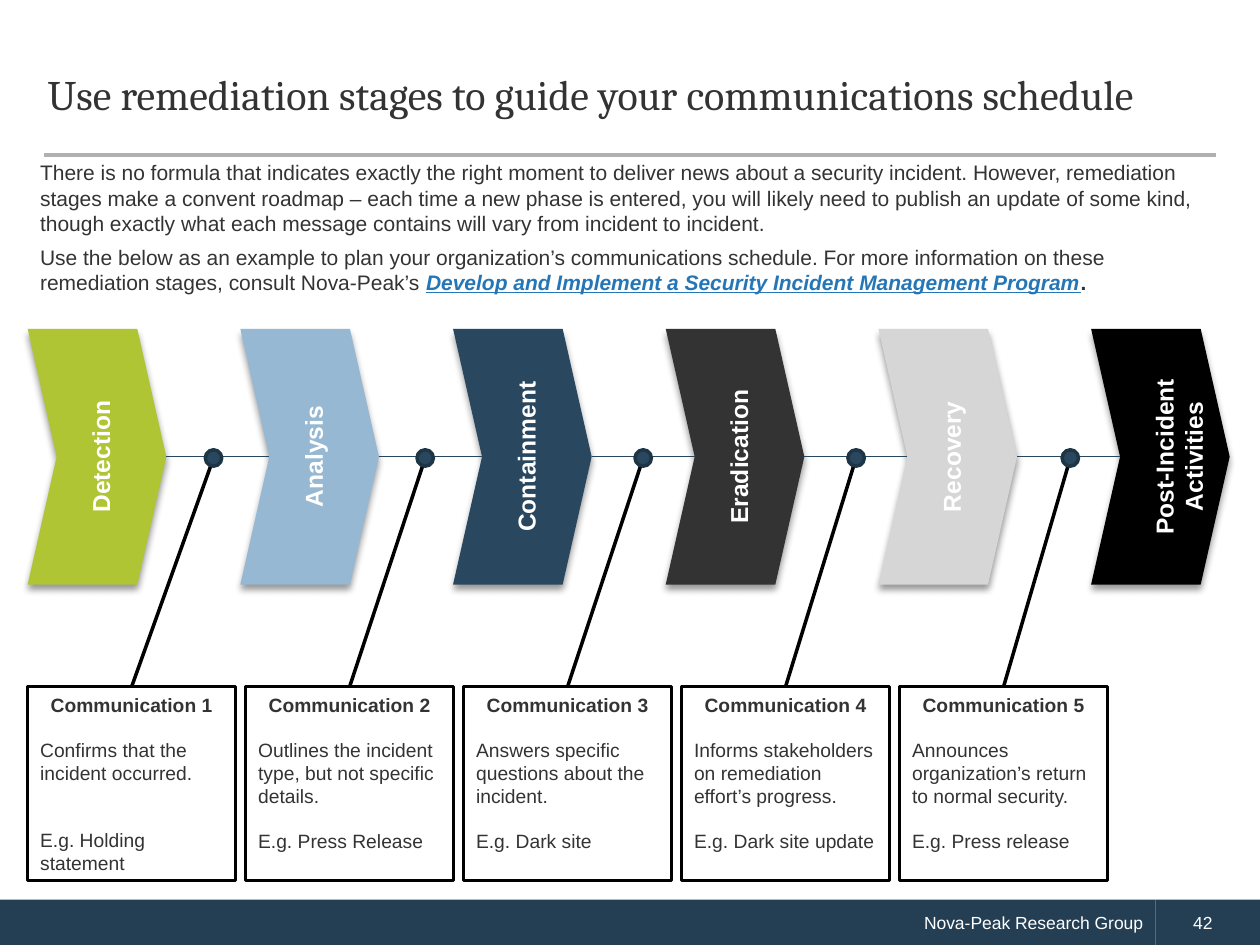
"""Build the slide on planning incident communications by remediation stage."""
from lxml import etree
from pptx import Presentation
from pptx.dml.color import RGBColor
from pptx.enum.shapes import MSO_CONNECTOR, MSO_SHAPE
from pptx.enum.text import MSO_ANCHOR, PP_ALIGN
from pptx.oxml import parse_xml
from pptx.oxml.ns import nsdecls, qn
from pptx.util import Inches, Pt

RECT, CHEVRON, OVAL, CALLOUT = (
    MSO_SHAPE.RECTANGLE, MSO_SHAPE.CHEVRON, MSO_SHAPE.OVAL, MSO_SHAPE.LINE_CALLOUT_1)
STRAIGHT = MSO_CONNECTOR.STRAIGHT
TOP, MIDDLE = MSO_ANCHOR.TOP, MSO_ANCHOR.MIDDLE
LEFT, CENTER, RIGHT = PP_ALIGN.LEFT, PP_ALIGN.CENTER, PP_ALIGN.RIGHT

COLORS = {
    "text": "333333", "white": "FFFFFF", "black": "000000", "footer": "243F54",
    "rule": "B1B0AE", "link": "2576B7", "green": "B0C534", "sky": "96B8D2",
    "navy": "29475F", "gray": "D6D6D6", "path": "27465E", "dot_edge": "1E3546",
}
SHADOW = (
    f'<a:outerShdw {nsdecls("a")} blurRad="50800" dist="38100" dir="5400000" '
    'algn="t" rotWithShape="0"><a:srgbClr val="000000"><a:alpha val="40000"/>'
    "</a:srgbClr></a:outerShdw>")


def write(paragraph, text, size=12, color="text", font="Arial", bold=False,
          italic=False, underline=False, align=LEFT, before=0):
    paragraph.alignment = align
    paragraph.space_before = Pt(before)
    run = paragraph.add_run()
    run.text = text
    run.font.size = Pt(size)
    run.font.name = font
    run.font.bold = bold
    run.font.italic = italic
    run.font.underline = underline
    run.font.color.rgb = RGBColor.from_string(COLORS[color])


def draw(kind, left, top, width, height, fill, edge=None, anchor=TOP):
    shape = slide.shapes.add_shape(
        kind, Inches(left), Inches(top), Inches(width), Inches(height))
    shape.shadow.inherit = False
    shape.fill.solid()
    shape.fill.fore_color.rgb = RGBColor.from_string(COLORS[fill])
    if edge:
        shape.line.color.rgb = RGBColor.from_string(COLORS[edge])
        shape.line.width = Pt(2)
    else:
        shape.line.fill.background()
    shape.text_frame.word_wrap = True
    shape.text_frame.vertical_anchor = anchor
    return shape


deck = Presentation()
deck.slide_width, deck.slide_height = Inches(10), Inches(7.5)
slide = deck.slides.add_slide(deck.slide_layouts[6])

footer = draw(RECT, 0, 7.14, 9.17, 0.37, "footer", anchor=MIDDLE)
write(footer.text_frame.paragraphs[0], "Nova-Peak Research Group", size=10,
      color="white", align=RIGHT)
page_number = draw(RECT, 9.17, 7.14, 0.83, 0.37, "footer", anchor=MIDDLE)
page_number.text_frame.margin_left = Inches(0.3)
write(page_number.text_frame.paragraphs[0], "42", size=10, color="white")

CARD_LEFT, CARD_TOP, CARD_WIDTH, CARD_HEIGHT, CARD_PITCH = 0.22, 5.45, 1.65, 1.54, 1.73
DOT_TOP, DOT_SIZE = 3.57, 0.13
LINE_GAP = 12.65
dot_lefts = [1.63, 3.31, 5.04, 6.73, 8.43]
communications = [
    ("Confirms that the incident occurred.", "E.g. Holding statement", 2),
    ("Outlines the incident type, but not specific details.", "E.g. Press Release", 1),
    ("Answers specific questions about the incident.", "E.g. Dark site", 1),
    ("Informs stakeholders on remediation effort’s progress.", "E.g. Dark site update", 1),
    ("Announces organization’s return to normal security.", "E.g. Press release", 1),
]
for index, (purpose, example, gap_lines) in enumerate(communications):
    left = CARD_LEFT + index * CARD_PITCH
    card = draw(CALLOUT, left, CARD_TOP, CARD_WIDTH, CARD_HEIGHT, "white", "black")
    card.adjustments[0] = (DOT_TOP + DOT_SIZE / 2 - CARD_TOP) / CARD_HEIGHT
    card.adjustments[1] = (dot_lefts[index] + DOT_SIZE / 2 - left) / CARD_WIDTH
    card.adjustments[2] = 0
    card.adjustments[3] = 0.5
    frame = card.text_frame
    write(frame.paragraphs[0], f"Communication {index + 1}", size=11, bold=True, align=CENTER)
    write(frame.add_paragraph(), purpose, size=11, before=LINE_GAP)
    write(frame.add_paragraph(), example, size=11, before=LINE_GAP * gap_lines)

title = slide.shapes.add_textbox(
    Inches(0.28), Inches(0.29), Inches(9.43), Inches(0.94)).text_frame
title.word_wrap = True
title.vertical_anchor = MIDDLE
title.paragraphs[0].line_spacing = Pt(26)
write(title.paragraphs[0], "Use remediation stages to guide your communications schedule",
      size=24, font="Cambria")

intro = slide.shapes.add_textbox(
    Inches(0.22), Inches(1.22), Inches(9.54), Inches(1.34)).text_frame
intro.word_wrap = True
write(intro.paragraphs[0],
      "There is no formula that indicates exactly the right moment to deliver news about a "
      "security incident. However, remediation stages make a convent roadmap – each time a "
      "new phase is entered, you will likely need to publish an update of some kind, though "
      "exactly what each message contains will vary from incident to incident.", before=5)
guidance = intro.add_paragraph()
write(guidance,
      "Use the below as an example to plan your organization’s communications schedule. For "
      "more information on these remediation stages, consult Nova-Peak’s ", before=5)
write(guidance, "Develop and Implement a Security Incident Management Program",
      color="link", bold=True, italic=True, underline=True, before=5)
write(guidance, ".", bold=True, before=5)

STAGE_LEFT, STAGE_TOP, STAGE_WIDTH, STAGE_HEIGHT = 0.22, 2.61, 1.1, 2.03
STAGE_PITCH = (8.66 - STAGE_LEFT) / 5
NOTCH = 0.23
stages = [
    ("Detection", "green"), ("Analysis", "sky"), ("Containment", "navy"),
    ("Eradication", "text"), ("Recovery", "gray"), ("Post-Incident Activities", "black"),
]
for index, (name, fill) in enumerate(stages):
    stage = draw(CHEVRON, STAGE_LEFT + index * STAGE_PITCH, STAGE_TOP,
                 STAGE_WIDTH, STAGE_HEIGHT, fill)
    stage.adjustments[0] = NOTCH / STAGE_WIDTH
    stage._element.spPr.find(qn("a:effectLst")).append(parse_xml(SHADOW))
    frame = stage.text_frame
    frame.margin_left = Inches(0.23)
    frame._txBody.bodyPr.set("vert", "vert270")
    write(frame.paragraphs[0], name, size=14, color="white", bold=True, align=CENTER)

PATH_Y = STAGE_TOP + STAGE_HEIGHT / 2
lines = [(0.35, 9.65, 1.23, "rule", 1.75)]
for index in range(len(stages) - 1):
    tip = STAGE_LEFT + index * STAGE_PITCH + STAGE_WIDTH
    notch = STAGE_LEFT + (index + 1) * STAGE_PITCH + NOTCH
    lines.append((tip, notch, PATH_Y, "path", 0.75))
for start, end, y, color, weight in lines:
    line = slide.shapes.add_connector(STRAIGHT, Inches(start), Inches(y), Inches(end), Inches(y))
    line.line.color.rgb = RGBColor.from_string(COLORS[color])
    line.line.width = Pt(weight)
    etree.SubElement(line._element.spPr, qn("a:effectLst"))

for left in dot_lefts:
    draw(OVAL, left, DOT_TOP, DOT_SIZE, DOT_SIZE, "navy", "dot_edge")

deck.save("out.pptx")
